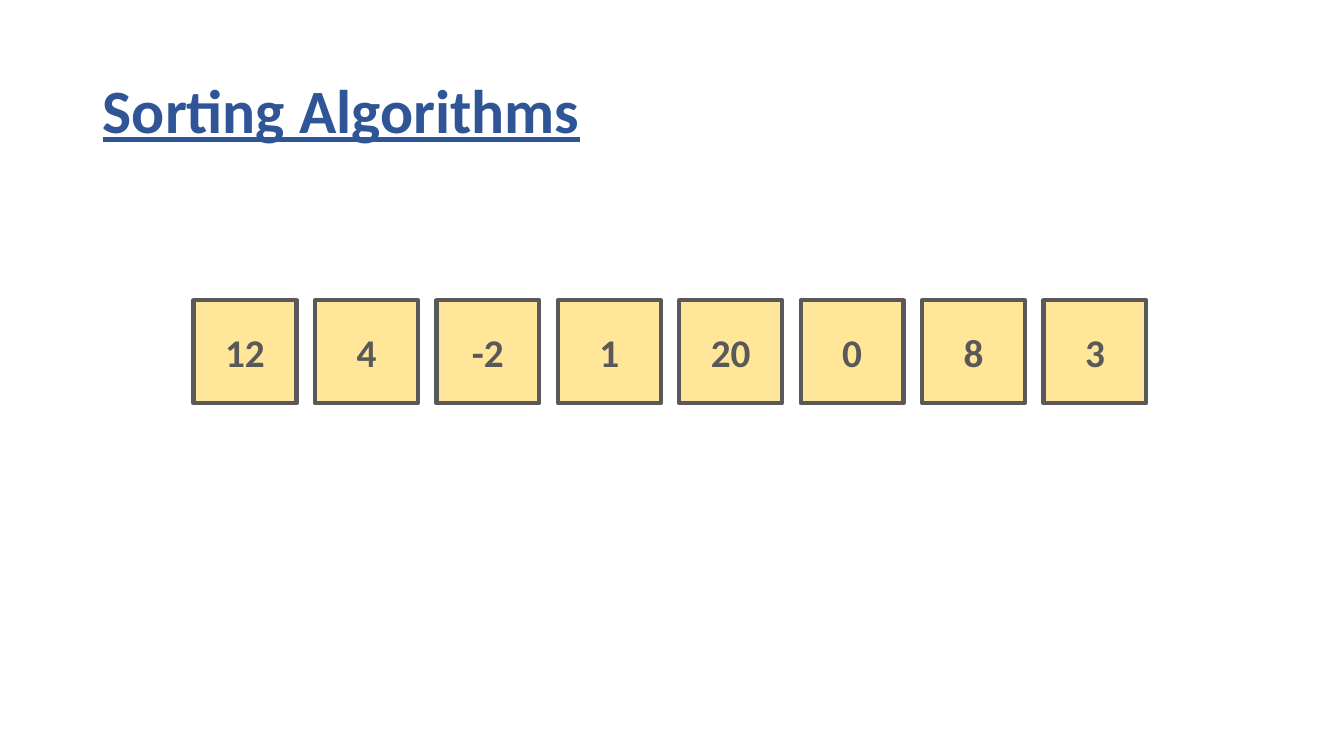
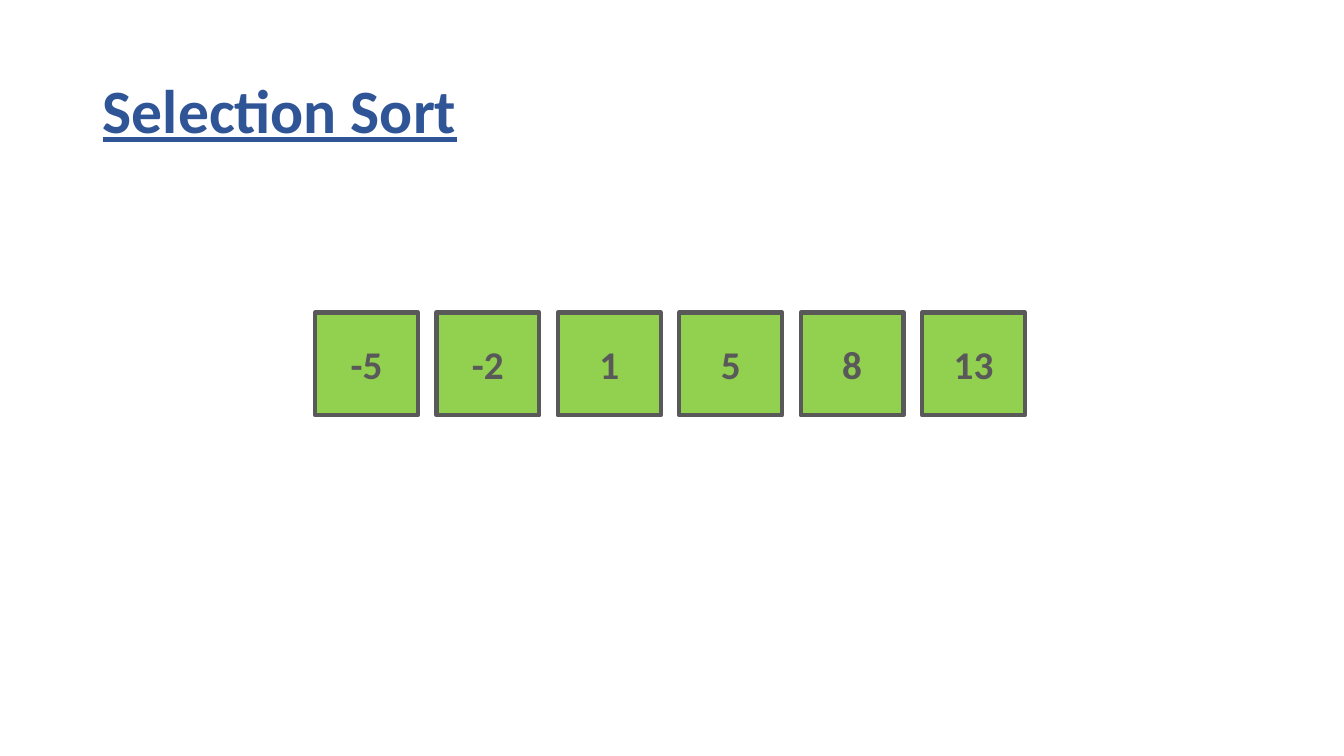
"""Build two sorting slides, each with a title and a row of numbered boxes."""
from pptx import Presentation
from pptx.dml.color import RGBColor
from pptx.enum import shapes, text
from pptx.util import Inches, Pt

FONT = "Calibri"
BLUE, GRAY, YELLOW, GREEN = "2F5597", "595959", "FFE699", "92D050"
SIDE = 1.02
FIRST_LEFT, LAST_LEFT, COLUMNS = 1.92, 10.35, 8
STEP = (LAST_LEFT - FIRST_LEFT) / (COLUMNS - 1)

PAGES = [
    ("Sorting Algorithms", [12, 4, -2, 1, 20, 0, 8, 3], YELLOW, 2.98),
    ("Selection Sort", [-5, -2, 1, 5, 8, 13], GREEN, 3.1),
]


def color(value):
    return RGBColor.from_string(value)


def write(shape, words, size, ink, align, underline=False):
    frame = shape.text_frame
    frame.text = words
    frame.word_wrap = True
    frame.auto_size = text.MSO_AUTO_SIZE.NONE
    frame.vertical_anchor = text.MSO_ANCHOR.MIDDLE
    para = frame.paragraphs[0]
    para.alignment = align
    font = para.runs[0].font
    font.name, font.size = FONT, Pt(size)
    font.bold, font.underline = True, underline
    font.color.rgb = color(ink)
    return para


deck = Presentation()
deck.slide_width, deck.slide_height = Inches(13.33), Inches(7.5)

for heading, numbers, fill, top in PAGES:
    page = deck.slides.add_slide(deck.slide_layouts[5])
    title = page.shapes.title
    title.left, title.top = Inches(0.92), Inches(0.4)
    title.width, title.height = Inches(11.5), Inches(1.45)
    para = write(title, heading, 44, BLUE, text.PP_ALIGN.LEFT, underline=True)
    para.line_spacing = 0.9

    first_column = (COLUMNS - len(numbers)) // 2
    for column, number in enumerate(numbers, first_column):
        box = page.shapes.add_shape(
            shapes.MSO_SHAPE.RECTANGLE,
            Inches(FIRST_LEFT + column * STEP), Inches(top),
            Inches(SIDE), Inches(SIDE))
        box.shadow.inherit = False
        box.fill.solid()
        box.fill.fore_color.rgb = color(fill)
        box.line.color.rgb = color(GRAY)
        box.line.width = Pt(3)
        write(box, str(number), 28, GRAY, text.PP_ALIGN.CENTER)

deck.save("out.pptx")
